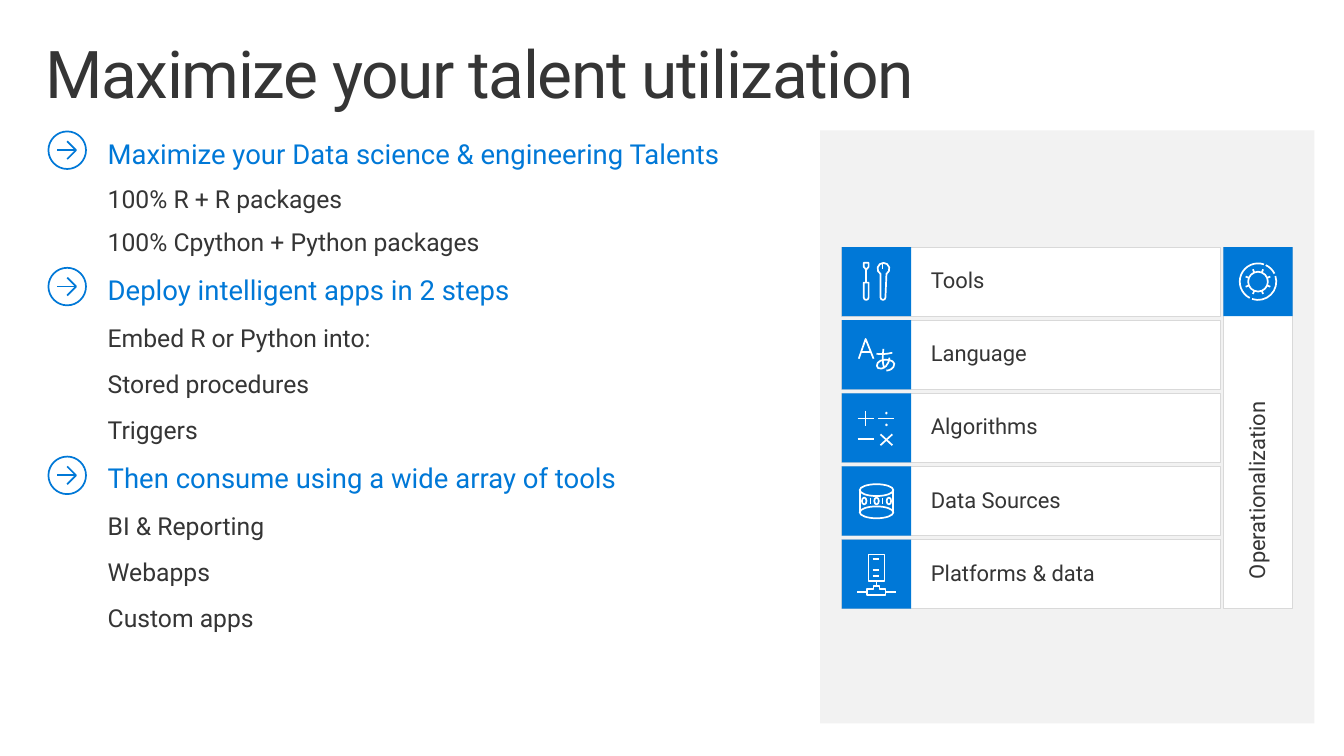
from copy import deepcopy
from math import ceil, cos, radians, sin, tan

from pptx import Presentation
from pptx.dml.color import RGBColor
from pptx.enum.shapes import MSO_SHAPE
from pptx.enum.text import MSO_ANCHOR, PP_ALIGN
from pptx.oxml.ns import qn
from pptx.util import Inches, Pt

RECT = MSO_SHAPE.RECTANGLE
TOP, MIDDLE = MSO_ANCHOR.TOP, MSO_ANCHOR.MIDDLE
LEFT = PP_ALIGN.LEFT
FONT = "Roboto"
HUE = {"blue": "0078D7", "ink": "353535", "white": "FFFFFF",
       "panel": "F2F2F2", "edge": "D9D9D9"}

# Content: heading, its lines, their line spacing, centre of its arrow
TITLE = "Maximize your talent utilization"
TOPICS = [
    ("Maximize your Data science & engineering Talents",
     ["100% R + R packages", "100% Cpython + Python packages"], 0.9, 1.52),
    ("Deploy intelligent apps in 2 steps",
     ["Embed R or Python into:", "Stored procedures", "Triggers"], 1, 2.9),
    ("Then consume using a wide array of tools",
     ["BI & Reporting", "Webapps", "Custom apps"], 1, 4.81),
]
LAYERS = ["Tools", "Language", "Algorithms", "Data Sources", "Platforms & data"]
SIDE = "Operationalization"

# Grid of the stack, in inches
WIDE, HIGH = 13.6, 7.65
STACK_X, STACK_Y, STACK_H = 8.52, 2.5, 3.66
TILE, BAR, SIDE_X = 0.7, 3.83, 12.38
PITCH = (STACK_H - TILE) / (len(LAYERS) - 1)


# A stroke is a start point, then points (lines) or point triples (curves),
# in hundredths of an inch from the icon's centre
def spot(x, y, rx, ry, turn):
    return x + rx * cos(turn), y + ry * sin(turn)


def arc(x, y, rx, ry, start=0, end=360):
    count = ceil(abs(end - start) / 90)
    step = radians(end - start) / count
    pull = 4 / 3 * tan(step / 4)
    turns = [radians(start) + step * i for i in range(count + 1)]
    ends = [spot(x, y, rx, ry, t) for t in turns]
    out = ends[:1]
    for i in range(count):
        (ax, ay), (bx, by) = ends[i:i + 2]
        a, b = turns[i:i + 2]
        out.append(((ax - pull * rx * sin(a), ay + pull * ry * cos(a)),
                    (bx + pull * rx * sin(b), by - pull * ry * cos(b)), (bx, by)))
    return out


def flat(y, x1, x2):
    return [(x1, y), (x2, y)]


def post(x, y1, y2):
    return [(x, y1), (x, y2)]


def box(x1, y1, x2, y2):
    return [(x1, y1), (x2, y1), (x2, y2), (x1, y2), (x1, y1)]


ARROW = [arc(0, 0, 19, 19), [(0, 9), (9, 0), (0, -9)], flat(0, 9, -10)]

WRENCH = (arc(7, -13, 6, 6, 120, 420) + [(9, 16)]
          + arc(6.5, 16, 2.5, 2.5, 0, 180) + [(4, -7.8)])
HANDLE = [(-8, 1), (-13, 1)] + arc(-10.5, 16, 2.5, 2.5, 180, 0) + [(-8, 1)]
BLADE = [(-8, -19), (-13, -19), (-13, -15), (-10.5, -12), (-8, -15), (-8, -19)]
TOOLS = [WRENCH, HANDLE, BLADE, post(-10.5, -12, 1), post(6, -19, -13)]

LOOP = [(10, 16), ((13, 16), (18, 14), (18, 9)), ((17, 5), (9, 4), (4, 6)),
        ((-1, 8), (-1, 15), (5, 14)), ((13, 12), (13, 3), (13, 3))]
LETTERS = [[(-18, 4), (-11, -16), (-3, 4)], flat(-3, -16, -6), LOOP,
           [(7, -6), ((7, -6), (5, 9), (8, 13))],
           [(0, -1), ((0, -1), (9, 0), (16, -2))]]

MATH = [flat(11.5, -19, -3), flat(-9.5, 2, 18), flat(-9.5, -19, -3),
        post(-11, -17.5, -1.5), [(16, 6.5), (4, 17.5)], [(4, 6.5), (16, 17.5)],
        arc(10, -3, 0.5, 0.5), arc(10, -15, 0.5, 0.5)]

DRUM = ([arc(0, y, 17, 6) for y in (-11, 11.5)]
        + [post(x, -11, 11.5) for x in (-17, 17)])
DIGITS = ([[post(x, -3, 3)] for x in (-6, 6)]
          + [[arc(x, 0, 2.3, 3.5)] for x in (-12.5, 0, 12.5)])

HUB = [(-10, 21), (-10, 15), (-3, 15), (-3, 12), (3, 12), (3, 15),
       (9, 15), (9, 21), (-10, 21)]
SERVER = [HUB, flat(18, -10, -20), flat(18, 9, 20), post(0, 12, 7),
          box(-8, -20, 8, 7)] + [flat(y, -4, 3) for y in (-15, -4, 2)]

GEAR = ([arc(0, 0, 10, 10)]
        + [arc(0, 0, 18.5, 18.5, a, b) for a, b in ((289, 117), (109, -18), (-26, -65))]
        + [[spot(0, 0, r, r, radians(22.5 + 45 * i)) for r in (13.5, 10)]
           for i in range(8)])
ICONS = [[TOOLS], [LETTERS], [MATH], [DRUM, *DIGITS], [SERVER]]

deck = Presentation()
deck.slide_width, deck.slide_height = Inches(WIDE), Inches(HIGH)
slide = deck.slides.add_slide(deck.slide_layouts[6])
shapes = slide.shapes


def tint(name):
    return RGBColor.from_string(HUE[name])


def block(x, y, w, h, fill, edge=None):
    shape = shapes.add_shape(RECT, *map(Inches, (x, y, w, h)))
    shape.shadow.inherit = False
    shape.fill.solid()
    shape.fill.fore_color.rgb = tint(fill)
    if edge:
        shape.line.color.rgb = tint(edge)
        shape.line.width = Pt(0.75)
    else:
        shape.line.fill.background()
    return shape


def draw(x, y, strokes, color):
    def place(point):
        return Inches(x + point[0] / 100), Inches(y + point[1] / 100)

    pen = shapes.build_freeform(*place(strokes[0][0]))
    parts = []
    for i, (start, *rest) in enumerate(strokes):
        if i:
            pen.move_to(*place(start))
        pen.add_line_segments([place(p[-1] if len(p) == 3 else p) for p in rest],
                              close=False)
        parts += rest
    icon = pen.convert_to_shape()
    # Bend the segments that have control points
    for node, part in zip(list(icon._element.iter(qn("a:lnTo"))), parts):
        if len(part) == 3:
            node.tag = qn("a:cubicBezTo")
            for k, (px, py) in enumerate(map(place, part[:2])):
                knob = deepcopy(node[-1])
                knob.set("x", str(px - icon.left))
                knob.set("y", str(py - icon.top))
                node.insert(k, knob)
    icon.shadow.inherit = False
    icon.fill.background()
    icon.line.color.rgb = tint(color)
    icon.line.width = Pt(1.25)


def frame(shape, pads, anchor):
    body = shape.text_frame
    body.word_wrap = True
    body.vertical_anchor = anchor
    (body.margin_left, body.margin_top,
     body.margin_right, body.margin_bottom) = map(Inches, pads)
    return body


def write(par, text, size, color="ink", space=0.9):
    par.alignment = LEFT
    par.line_spacing = space
    run = par.add_run()
    run.text = text
    run.font.name, run.font.size = FONT, Pt(size)
    run.font.color.rgb = tint(color)
    return run


# Title
head = shapes.add_textbox(*map(Inches, (0.3, 0.32, 13, 1)))
run = write(frame(head, (0.16, 0.1, 0.16, 0.1), TOP).paragraphs[0], TITLE, 48)
run.font._element.set("spc", "-100")

# Topics with their arrows
area = shapes.add_textbox(*map(Inches, (0.89, 1.23, 8.3, 5.38)))
body = frame(area, (0.2, 0.16, 0.2, 0.16), TOP)
for n, (topic, lines, space, mid) in enumerate(TOPICS):
    rows = [(topic, 20, "blue", 1)] + [(line, 18, "ink", space) for line in lines]
    for k, row in enumerate(rows):
        first = n == k == 0
        par = body.paragraphs[0] if first else body.add_paragraph()
        par.space_before, par.space_after = Pt(0 if first else 6), Pt(6)
        write(par, *row)
    draw(0.68, mid, ARROW, "blue")

# Panel and upright bar
block(8.3, 1.32, 5, 6, "panel")
side = block(SIDE_X, STACK_Y, TILE, STACK_H, "white", "edge")
body = frame(side, (0, 0.16, 0, 0.3), MIDDLE)
body._txBody.bodyPr.set("vert", "vert270")
write(body.paragraphs[0], SIDE, 16)

# Stack of layers
tiles = [(SIDE_X, STACK_Y, [GEAR])]
for i, (layer, icon) in enumerate(zip(LAYERS, ICONS)):
    y = STACK_Y + i * PITCH
    bar = block(STACK_X, y, BAR, TILE, "white", "edge")
    write(frame(bar, (0.9, 0.16, 0.2, 0.16), MIDDLE).paragraphs[0], layer, 16)
    tiles.append((STACK_X, y, icon))
for x, y, icon in tiles:
    block(x, y, TILE, TILE, "blue")
    for strokes in icon:
        draw(x + TILE / 2, y + TILE / 2, strokes, "white")

deck.save("out.pptx")
